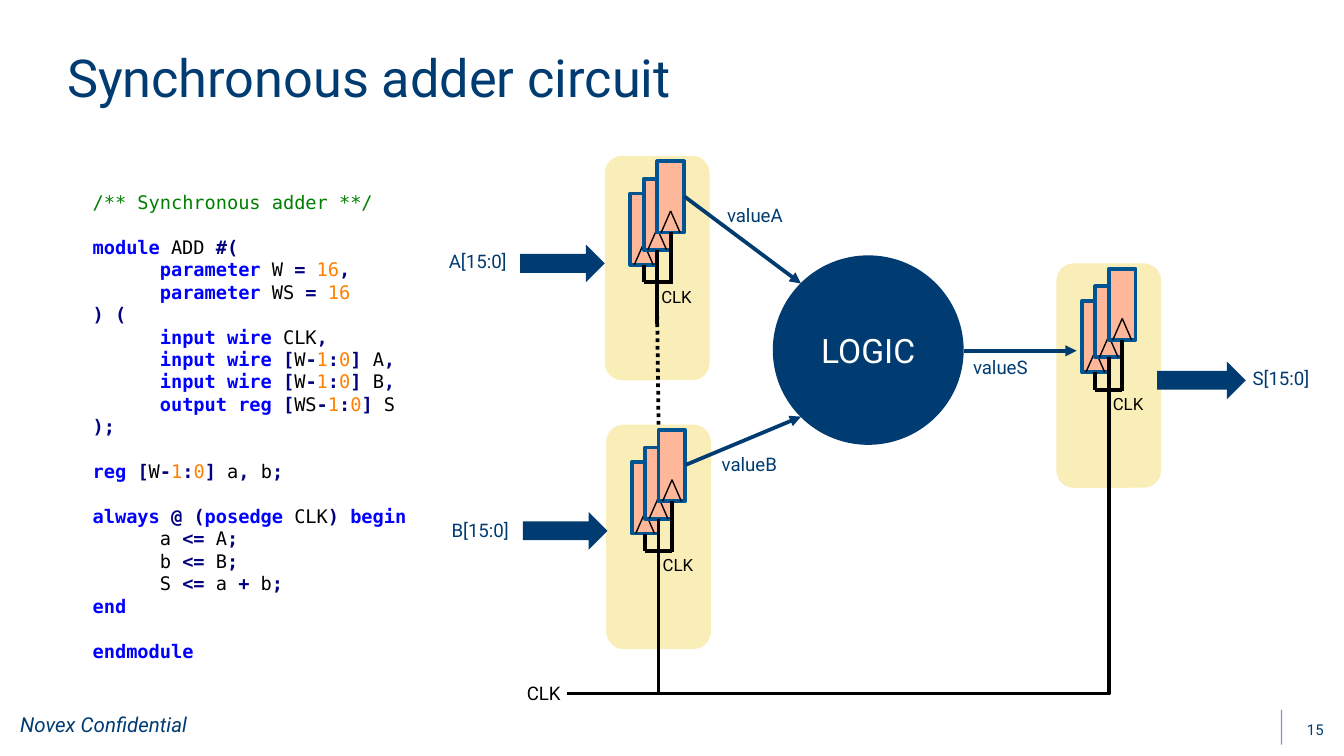
from itertools import groupby
from lxml import etree
from pptx import Presentation
from pptx import util as u
from pptx.dml.color import RGBColor
from pptx.enum import dml, shapes, text
from pptx.oxml import ns


class Theme:
    navy, black, white = "003C71", "000000", "FFFFFF"
    sand, salmon, edge = "FAEEB8", "FEB799", "005492"
    comment, keyword, symbol, number = "008000", "0000FF", "000080", "FF8000"
    sans, mono = "Roboto", "DejaVu Sans Mono"
    title, logic, footer, label, clock, page_number = 28, 18, 11, 10, 9, 8
    thin, thick = 0.75, 2


CELL = u.Inches(0.1)
COLUMNS, ROWS = 100, 56.25
SHAPE = shapes.MSO_SHAPE
LEFT, CENTER, RIGHT = text.PP_ALIGN.LEFT, text.PP_ALIGN.CENTER, text.PP_ALIGN.RIGHT
TOP, MIDDLE = text.MSO_ANCHOR.TOP, text.MSO_ANCHOR.MIDDLE

deck = Presentation()
deck.slide_width, deck.slide_height = int(COLUMNS * CELL), int(ROWS * CELL)
page = deck.slides.add_slide(deck.slide_layouts[6])


def add_block(kind, left, top, width, height, fill, outline=None):
    block = page.shapes.add_shape(kind, *(int(n * CELL) for n in (left, top, width, height)))
    block.shadow.inherit = False
    block.fill.solid()
    block.fill.fore_color.rgb = RGBColor.from_string(fill)
    if outline:
        block.line.color.rgb = RGBColor.from_string(outline)
        block.line.width = u.Pt(Theme.thick)
    else:
        block.line.fill.background()
    return block


def add_wire(x1, y1, x2, y2, color=Theme.black, width=Theme.thick, kind=shapes.MSO_CONNECTOR.STRAIGHT):
    wire = page.shapes.add_connector(kind, *(int(n * CELL) for n in (x1, y1, x2, y2)))
    wire.line.color.rgb = RGBColor.from_string(color)
    wire.line.width = u.Pt(width)
    etree.SubElement(wire._element.spPr, ns.qn("a:effectLst"))
    return wire


rule = add_wire(95.35, 52.8, 95.35, 55.4, Theme.navy, Theme.thin)
rule_color = rule.line._ln.find(".//" + ns.qn("a:srgbClr"))
etree.SubElement(rule_color, ns.qn("a:alpha")).set("val", "50000")

labels = [
    ("Novex Confidential", 1.5, 53, 13, 1.9, Theme.footer, Theme.navy, LEFT, TOP),
    ("15", 75.2, 52.8, 23.3, 3, Theme.page_number, Theme.navy, RIGHT, MIDDLE),
    ("Synchronous adder circuit", 5, 3.4, 90, 9.5, Theme.title, Theme.navy, LEFT, TOP),
    ("CLK", 39.2, 50.7, 5, 1.7, Theme.label, Theme.black, LEFT, TOP),
    ("valueA", 54.1, 15.2, 5.3, 1.7, Theme.label, Theme.navy, LEFT, TOP),
    ("valueB", 53.7, 33.7, 5.3, 1.7, Theme.label, Theme.navy, LEFT, TOP),
    ("valueS", 72.4, 26.5, 5.3, 1.7, Theme.label, Theme.navy, LEFT, TOP),
]

stages = [
    ("A[15:0]", 45, 11.6, 12.5, -6.3, 6.6, 6.3, -11.6, 7),
    ("B[15:0]", 45.1, 31.6, 20, -6.2, 6.5, 6.3, -11.5, 7),
    ("S[15:0]", 78.6, 19.6, 12.4, 7.5, 7.3, 6.6, 14.6, 7.7),
]
for name, x, y, drop, arrow_x, arrow_y, arrow_width, name_x, name_y in stages:
    add_block(SHAPE.ROUNDED_RECTANGLE, x, y, 7.8, 16.7, Theme.sand)
    for step, lift in enumerate((2.8, 1.7, 0.4)):
        left, top = x + 1.9 + step, y + lift
        base, peak = top + 5.3, top + 3.7
        add_block(SHAPE.RECTANGLE, left, top, 2, 5.3, Theme.salmon, Theme.edge)
        add_wire(left + 0.3, base, left + 1, peak, width=Theme.thin)
        add_wire(left + 1, peak, left + 1.7, base, width=Theme.thin)
    for step, start, end in ((0, 8.1, 9.4), (2, 5.7, 9.5), (1, 7, drop)):
        add_wire(x + 2.9 + step, y + start, x + 2.9 + step, y + end)
    add_wire(x + 2.9, y + 9.4, x + 4.9, y + 9.4)
    add_block(SHAPE.RIGHT_ARROW, x + arrow_x, y + arrow_y, arrow_width, 2.8, Theme.navy)
    labels.append(("CLK", x + 4.2, y + 9.7, 2.9, 1.5, Theme.clock, Theme.black, LEFT, TOP))
    labels.append((name, x + name_x, y + name_y, 5, 1.7, Theme.label, Theme.navy, LEFT, TOP))

add_wire(49, 31.6, 48.9, 23.5).line.dash_style = dml.MSO_LINE.ROUND_DOT

clock_line = add_wire(42.2, 51.6, 82.5, 31.9, kind=shapes.MSO_CONNECTOR.ELBOW)
geometry = clock_line._element.spPr.find(ns.qn("a:prstGeom"))
guides = geometry.find(ns.qn("a:avLst"))
if guides is None:
    guides = etree.SubElement(geometry, ns.qn("a:avLst"))
guide = etree.SubElement(guides, ns.qn("a:gd"))
guide.set("name", "adj1")
guide.set("fmla", "val 100000")

logic = add_block(SHAPE.OVAL, 57.5, 19, 14.2, 14.1, Theme.navy)
logic.text_frame.vertical_anchor = MIDDLE
para = logic.text_frame.paragraphs[0]
para.alignment = CENTER
span = para.add_run()
span.text = "LOGIC"
span.font.name, span.font.size = Theme.sans, u.Pt(Theme.logic)
span.font.color.rgb = RGBColor.from_string(Theme.white)

for ends in ((50.9, 14.6, 59.6, 21.1), (51, 34.6, 59.6, 31), (71.7, 26.1, 80.1, 26.1)):
    signal = add_wire(*ends, Theme.navy)
    etree.SubElement(signal.line._ln, ns.qn("a:tailEnd")).set("type", "triangle")

for words, left, top, width, height, size, color, align, anchor in labels:
    box = page.shapes.add_textbox(*(int(n * CELL) for n in (left, top, width, height)))
    frame = box.text_frame
    frame.word_wrap, frame.vertical_anchor = True, anchor
    frame.margin_left = frame.margin_right = frame.margin_top = frame.margin_bottom = 0
    para = frame.paragraphs[0]
    para.alignment = align
    span = para.add_run()
    span.text = words
    span.font.name, span.font.size = Theme.sans, u.Pt(size)
    span.font.italic = size == Theme.footer
    span.font.color.rgb = RGBColor.from_string(color)

CODE = """/** Synchronous adder **/

module ADD #(
\tparameter W = 16,
\tparameter WS = 16
) (
\tinput wire CLK,
\tinput wire [W-1:0] A,
\tinput wire [W-1:0] B,
\toutput reg [WS-1:0] S
);

reg [W-1:0] a, b;

always @ (posedge CLK) begin
\ta <= A;
\tb <= B;
\tS <= a + b;
end

endmodule"""
KEYWORDS = "module parameter input output wire reg always posedge begin end endmodule".split()

box = page.shapes.add_textbox(*(int(n * CELL) for n in (6.9, 14.2, 33.3, 37.5)))
frame = box.text_frame
frame.word_wrap = True
frame.margin_left = frame.margin_right = frame.margin_top = frame.margin_bottom = 0
para = frame.paragraphs[0]
after_gap = False
for number, line in enumerate(CODE.split("\n")):
    if not line:
        after_gap = True
        continue
    if number:
        para = frame.add_paragraph()
    if after_gap:
        para.space_before = u.Pt(12)
    after_gap = False
    stops = etree.SubElement(para._p.get_or_add_pPr(), ns.qn("a:tabLst"))
    stop = etree.SubElement(stops, ns.qn("a:tab"))
    stop.set("pos", str(5 * CELL))
    stop.set("algn", "l")
    tokens = []
    for kind, letters in groupby(line, lambda c: "word" if c.isalnum() else "gap" if c.isspace() else "symbol"):
        token = "".join(letters)
        color = Theme.symbol if kind == "symbol" else Theme.black
        if token in KEYWORDS:
            color = Theme.keyword
        elif token.isdigit():
            color = Theme.number
        tokens.append((color, token))
    if line.startswith("/**"):
        tokens = [(Theme.comment, line)]
    for color, parts in groupby(tokens, lambda token: token[0]):
        span = para.add_run()
        span.text = "".join(part for _, part in parts)
        span.font.name, span.font.size = Theme.mono, u.Pt(Theme.label)
        span.font.bold = color in (Theme.keyword, Theme.symbol)
        span.font.color.rgb = RGBColor.from_string(color)

deck.save("out.pptx")
